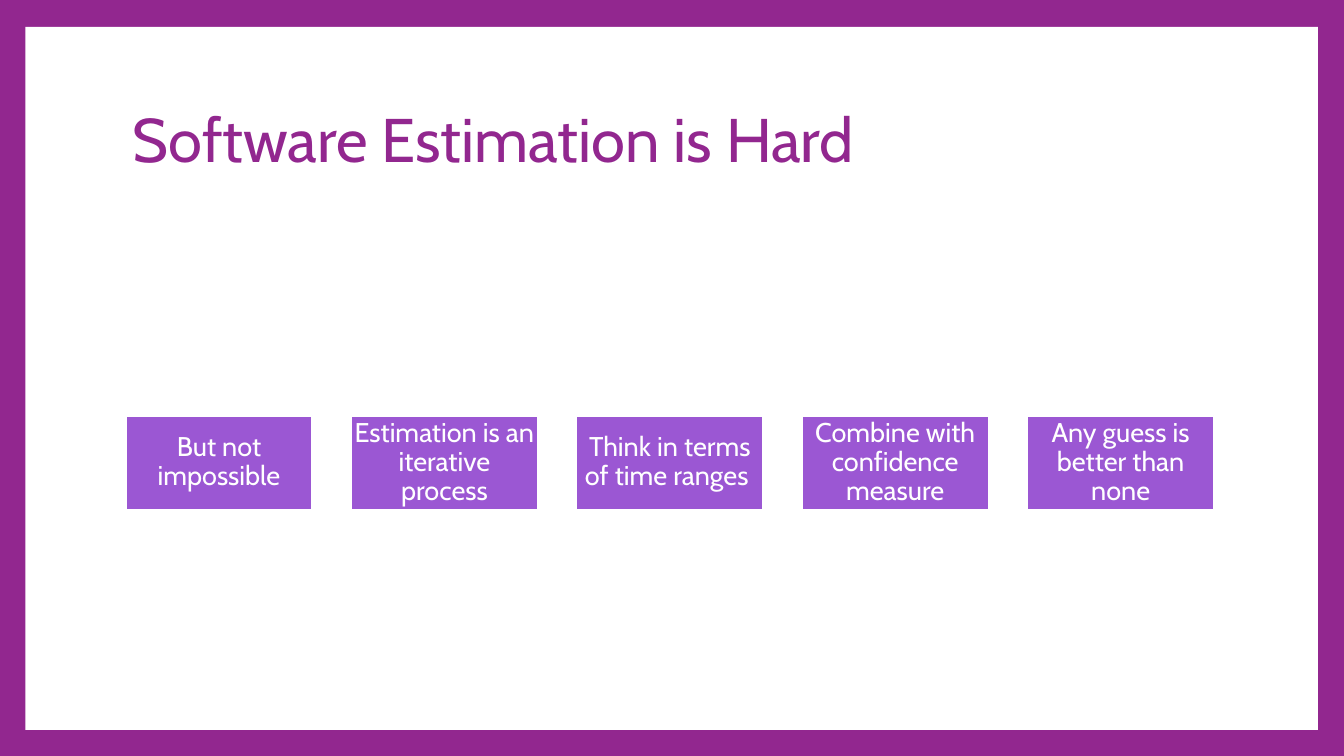
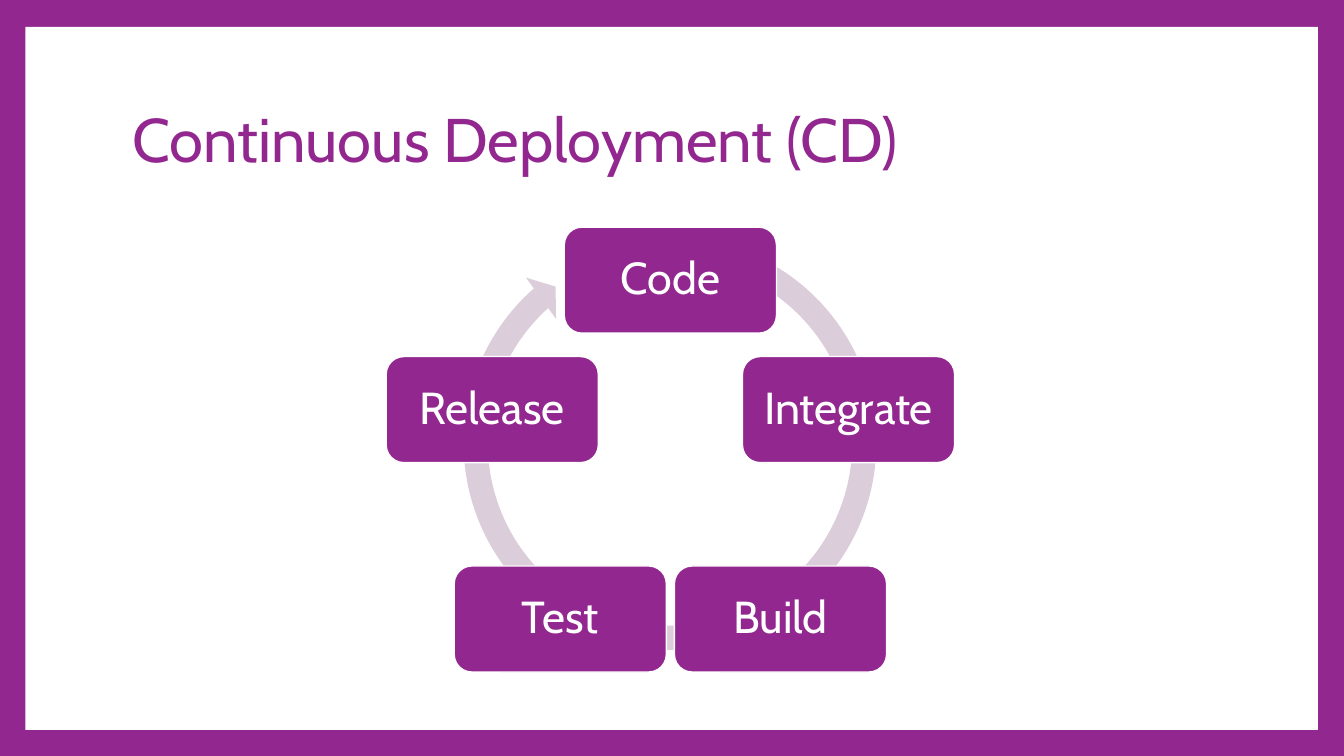
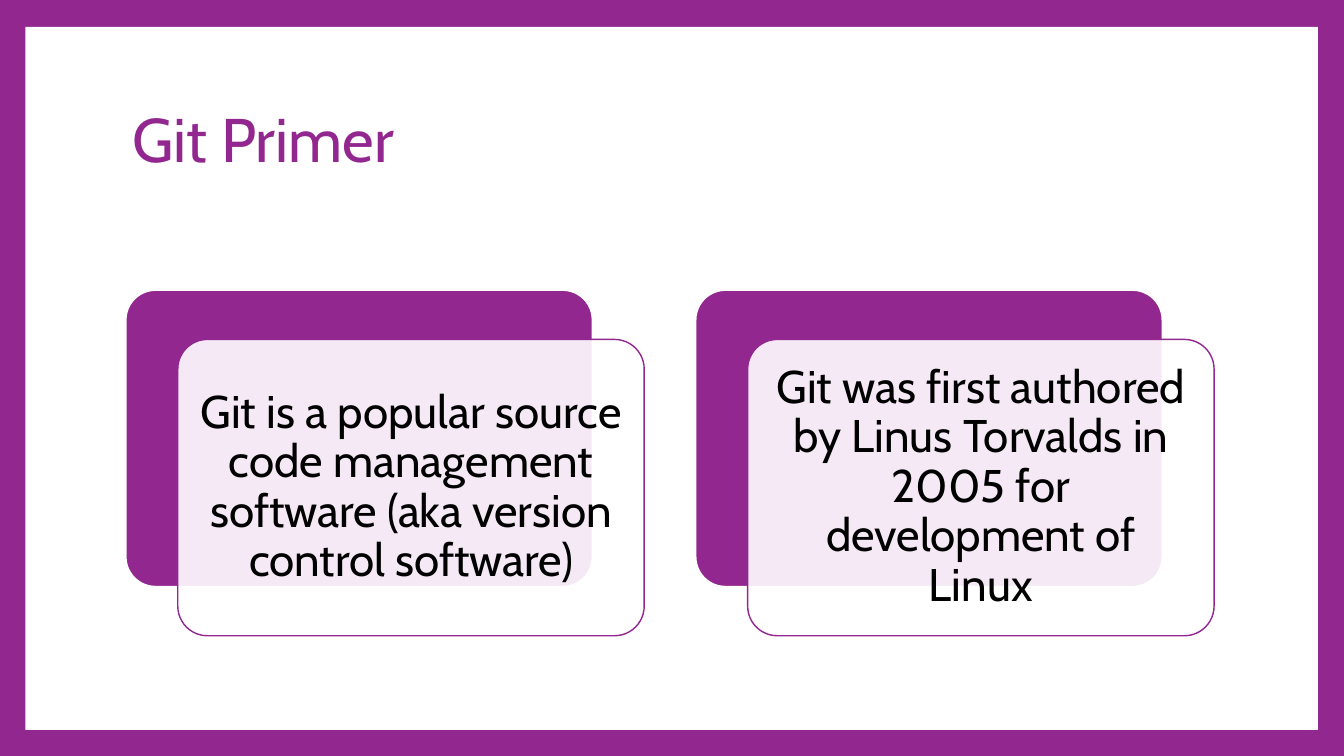
"""Build three slides on estimates, deployment and Git."""
from dataclasses import dataclass, replace
from math import cos, pi, sin
from typing import Any, NamedTuple

from pptx import Presentation as Deck
from pptx.dml.color import RGBColor as Color
from pptx.enum.shapes import MSO_SHAPE as Form
from pptx.enum.text import MSO_ANCHOR as Anchor, PP_ALIGN as Align
from pptx.oxml.ns import qn
from pptx.oxml.xmlchemy import OxmlElement as Node
from pptx.shapes.base import BaseShape as Shape
from pptx.slide import Slide
from pptx.util import Cm, Pt

WIDE = 50.8
HIGH = WIDE * 9 / 16
LEFT = 4.76
FONT = "Cabin"
HUES = {
    "plum": "92278F",
    "violet": "9B57D3",
    "mist": "DCCDDB",
    "white": "FFFFFF",
    "black": "000000",
}


class Box(NamedTuple):
    left: float
    top: float
    width: float
    height: float


@dataclass(frozen=True)
class Print:
    size: float
    hue: str = "white"
    align: Align = Align.CENTER
    inset: float = 0.51


@dataclass(frozen=True)
class Look:
    fill: str
    line: str = ""
    form: Form = Form.ROUNDED_RECTANGLE
    tweaks: tuple[float, ...] = ()
    alpha: int = 100


TITLE = Print(66, "plum", Align.LEFT, 0.25)
STEP = Print(29, inset=0.05)
STAGE = Print(48)
FACT = Print(49, "black")

FRAME = Look("white", form=Form.RECTANGLE)
TILE = Look("violet", "white", Form.RECTANGLE)
NODE = Look("plum", "white")
RING = Look("mist", form=Form.CIRCULAR_ARROW,
            tweaks=(0.055, 3.307, 137.04, 174.299, 0.058))
BACK = replace(NODE, tweaks=(0.1,))
CARD = Look("white", "plum", tweaks=(0.1,), alpha=90)

STEPS = (
    "But not impossible",
    "Estimation is an iterative process",
    "Think in terms of time ranges ",
    "Combine with confidence measure",
    "Any guess is better than none",
)
STAGES = ("Code", "Integrate", "Build", "Test", "Release")
FACTS = (
    "Git is a popular source code management software (aka version control software)",
    "Git was first authored by Linus Torvalds in 2005 for development of Linux",
)


def tint(name: str) -> Color:
    """Return a named colour."""
    return Color.from_string(HUES[name])


def apply(target: Any, values: dict[str, Any]) -> None:
    """Set each format value on the target."""
    for name, value in values.items():
        setattr(target, name, value)


def write(shape: Shape, text: str, style: Print) -> None:
    """Put styled text in a shape."""
    frame = shape.text_frame
    sides = ("left", "top", "right", "bottom")
    apply(frame, {f"margin_{side}": Cm(style.inset) for side in sides})
    apply(frame, {"word_wrap": True, "vertical_anchor": Anchor.MIDDLE, "text": text})
    para = frame.paragraphs[0]
    apply(para, {"alignment": style.align, "line_spacing": 0.9})
    font = para.runs[0].font
    apply(font, {"name": FONT, "size": Pt(style.size)})
    font.color.rgb = tint(style.hue)


def draw(slide: Slide, box: Box, look: Look) -> Shape:
    """Draw a preset shape."""
    shape = slide.shapes.add_shape(look.form, *map(Cm, box))
    shape.shadow.inherit = False
    for index, value in enumerate(look.tweaks):
        shape.adjustments[index] = value
    shape.fill.solid()
    shape.fill.fore_color.rgb = tint(look.fill)
    if look.alpha < 100:
        alpha = Node("a:alpha")
        alpha.set("val", str(look.alpha * 1000))
        shape.element.spPr.find(qn("a:solidFill"))[0].append(alpha)
    if look.line:
        shape.line.color.rgb = tint(look.line)
        shape.line.width = Pt(1.5)
    else:
        shape.line.fill.background()
    return shape


def start(deck: Any, title: str) -> Slide:
    """Add a framed slide with its title."""
    slide = deck.slides.add_slide(deck.slide_layouts[6])
    slide.background.fill.solid()
    slide.background.fill.fore_color.rgb = tint("plum")
    draw(slide, Box(0.96, 1.02, 48.85, 26.57), FRAME)
    label = slide.shapes.add_textbox(*map(Cm, Box(LEFT, 2.54, 41.15, 5.66)))
    write(label, title, TITLE)
    return slide


def add_steps(deck: Any) -> None:
    """Add the row of estimate tiles."""
    slide = start(deck, "Software Estimation is Hard")
    for index, text in enumerate(STEPS):
        box = Box(LEFT + index * 8.52, 15.72, 7.04, 3.53)
        write(draw(slide, box, TILE), text, STEP)


def add_cycle(deck: Any) -> None:
    """Add the deployment cycle."""
    slide = start(deck, "Continuous Deployment (CD)")
    mid, hub, reach = 25.34, 17.67, 7.08
    width, height = 8.02, 4.01
    draw(slide, Box(17.02, 8.46, 16.61, 16.61), RING)
    for index, text in enumerate(STAGES):
        angle = 2 * pi * index / len(STAGES)
        left = mid + reach * sin(angle) - width / 2
        top = hub - reach * cos(angle) - height / 2
        write(draw(slide, Box(left, top, width, height), NODE), text, STAGE)


def add_facts(deck: Any) -> None:
    """Add the layered Git cards."""
    slide = start(deck, "Git Primer")
    for index, text in enumerate(FACTS):
        box = Box(LEFT + index * 21.54, 10.97, 17.63, 11.2)
        draw(slide, box, BACK)
        front = box._replace(left=box.left + 1.96, top=box.top + 1.86)
        write(draw(slide, front, CARD), text, FACT)


def main() -> None:
    """Build and save the deck."""
    deck = Deck()
    apply(deck, {"slide_width": Cm(WIDE), "slide_height": Cm(HIGH)})
    for build in (add_steps, add_cycle, add_facts):
        build(deck)
    deck.save("out.pptx")


if __name__ == "__main__":
    main()
